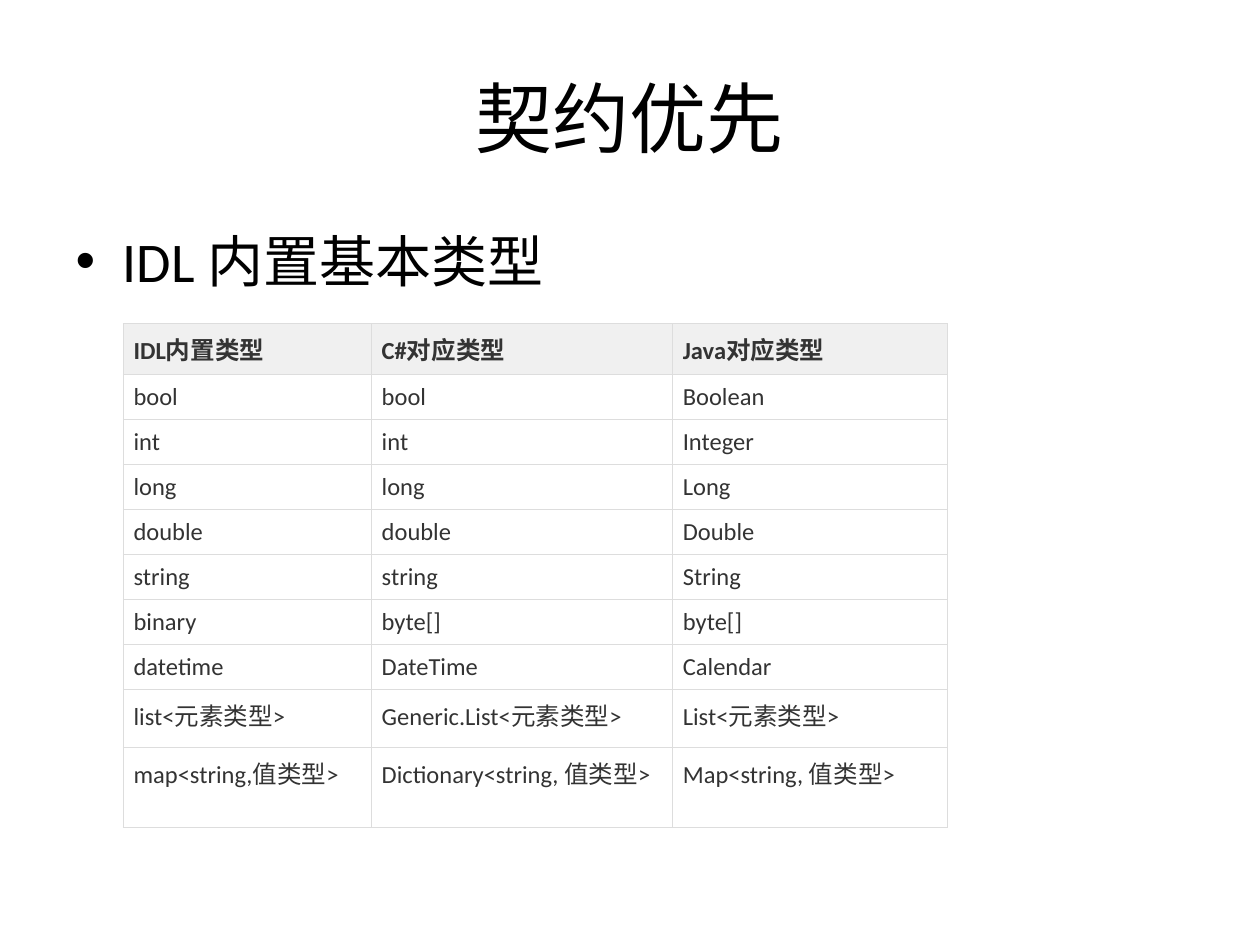
from lxml import etree
from pptx import Presentation
from pptx import util as u
from pptx.dml.color import RGBColor
from pptx.enum import text
from pptx.oxml.ns import qn

BLACK = RGBColor(0x00, 0x00, 0x00)
WHITE = RGBColor(0xFF, 0xFF, 0xFF)
DARK_GREY = RGBColor(0x33, 0x33, 0x33)
HEADER_GREY = RGBColor(0xF0, 0xF0, 0xF0)
BORDER_GREY = RGBColor(0xDD, 0xDD, 0xDD)

COLUMN_WIDTHS = (1.97, 2.39, 2.18)
ROW_HEIGHTS = (0.3,) * 8 + (0.46, 0.34)
TYPE_ROWS = (
    ("IDL内置类型", "C#对应类型", "Java对应类型"),
    ("bool", "bool", "Boolean"),
    ("int", "int", "Integer"),
    ("long", "long", "Long"),
    ("double", "double", "Double"),
    ("string", "string", "String"),
    ("binary", "byte[]", "byte[]"),
    ("datetime", "DateTime", "Calendar"),
    ("list<元素类型>", "Generic.List<元素类型>", "List<元素类型>"),
    ("map<string,值类型>", "Dictionary<string, 值类型>", "Map<string, 值类型>"),
)


def set_attributes(target, values):
    """Set every attribute in a dict of format values."""
    for name, value in values.items():
        setattr(target, name, value)


def write_text(text_frame, content, size, color, bold=False):
    """Write one formatted run into a text frame."""
    run = text_frame.paragraphs[0].add_run()
    run.text = content
    set_attributes(run.font, {"name": "Calibri", "size": u.Pt(size), "bold": bold})
    run.font.color.rgb = color


def place_shape(shape, left, top, width, height):
    """Move and resize a shape, in inches."""
    box = {"left": left, "top": top, "width": width, "height": height}
    set_attributes(shape, {name: u.Inches(value) for name, value in box.items()})


def add_title(slide, content, box):
    """Fill the title placeholder."""
    title = slide.shapes.title
    place_shape(title, *box)
    title.text_frame.vertical_anchor = text.MSO_ANCHOR.MIDDLE
    title.text_frame.paragraphs[0].alignment = text.PP_ALIGN.CENTER
    write_text(title.text_frame, content, 44, BLACK)


def add_body(slide, content, box):
    """Fill the body placeholder with one bullet."""
    body = slide.placeholders[1]
    place_shape(body, *box)
    write_text(body.text_frame, content, 32, BLACK)


def add_borders(cell, color, width):
    """Draw a solid line on all four sides of a cell."""
    properties = cell._tc.get_or_add_tcPr()
    for position, side in enumerate(("lnL", "lnR", "lnT", "lnB")):
        line = etree.Element(qn(f"a:{side}"), w=str(u.Pt(width)))
        fill = etree.SubElement(line, qn("a:solidFill"))
        etree.SubElement(fill, qn("a:srgbClr"), val=str(color))
        properties.insert(position, line)


def format_cell(cell, content, is_header):
    """Write and style one table cell."""
    set_attributes(cell, {
        "margin_left": u.Inches(0.08),
        "margin_top": u.Inches(0.06),
        "margin_right": u.Inches(0.12 if is_header else 0.08),
        "margin_bottom": u.Inches(0.06),
    })
    cell.fill.solid()
    cell.fill.fore_color.rgb = HEADER_GREY if is_header else WHITE
    add_borders(cell, BORDER_GREY, 0.75)
    write_text(cell.text_frame, content, 14, DARK_GREY, is_header)


def add_type_table(slide, rows, left, top):
    """Add the table of matching types."""
    frame = slide.shapes.add_table(
        len(rows), len(COLUMN_WIDTHS), u.Inches(left), u.Inches(top),
        u.Inches(sum(COLUMN_WIDTHS)), u.Inches(sum(ROW_HEIGHTS)))
    table = frame.table
    for column, width in zip(table.columns, COLUMN_WIDTHS):
        column.width = u.Inches(width)
    for row, height in zip(table.rows, ROW_HEIGHTS):
        row.height = u.Inches(height)
    for row_index, contents in enumerate(rows):
        for column_index, content in enumerate(contents):
            format_cell(table.cell(row_index, column_index), content, row_index == 0)


def main():
    """Build and save the slide."""
    presentation = Presentation()
    set_attributes(presentation, {
        "slide_width": u.Inches(10), "slide_height": u.Inches(7.5)})
    slide = presentation.slides.add_slide(presentation.slide_layouts[1])
    add_title(slide, "契约优先", (0.5, 0.3, 9, 1.25))
    add_body(slide, "IDL 内置基本类型", (0.5, 1.75, 9, 4.95))
    add_type_table(slide, TYPE_ROWS, 0.98, 2.57)
    presentation.save("out.pptx")


if __name__ == "__main__":
    main()
